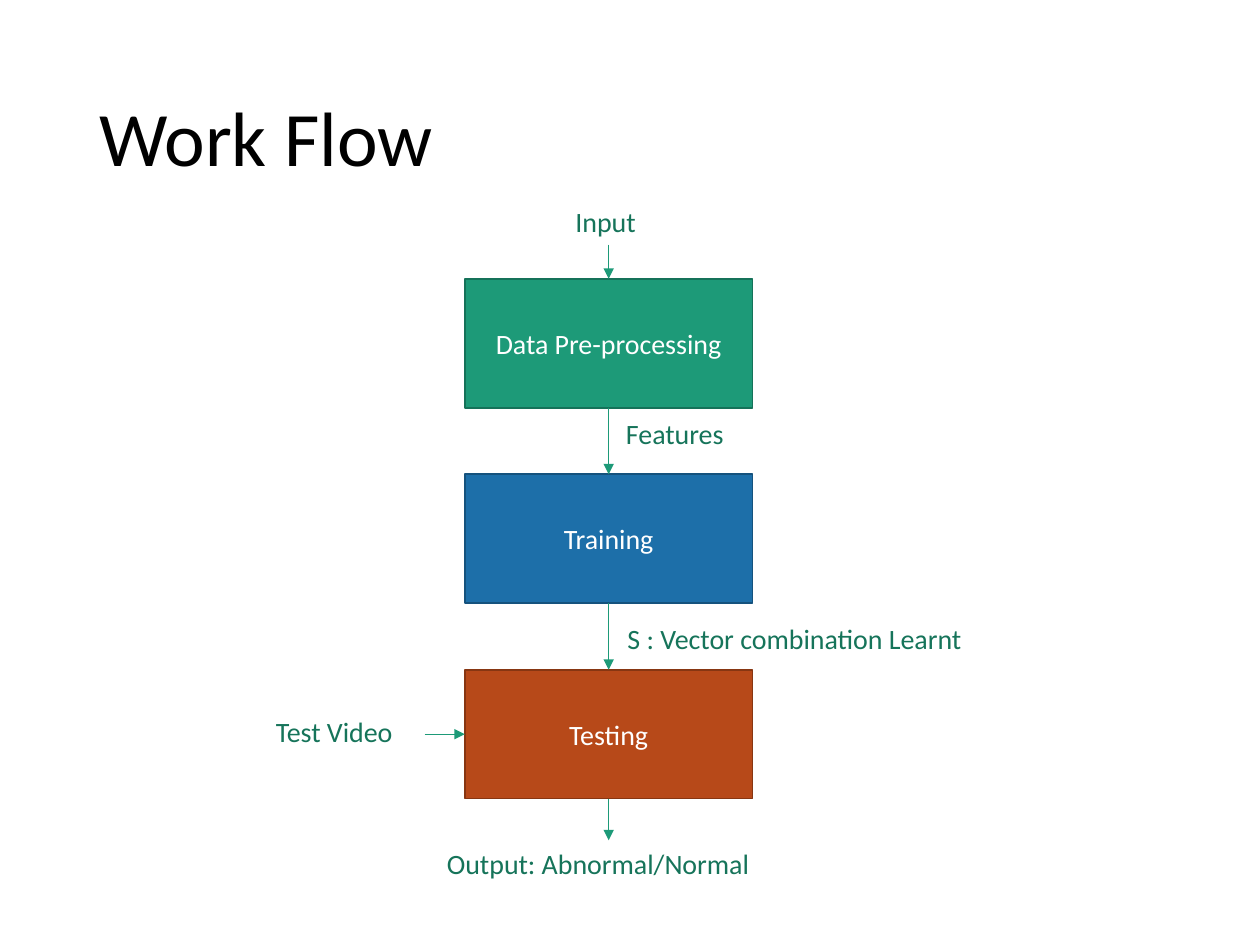
"""Build the Work Flow slide: three stages joined by labelled arrows."""
from lxml import etree
from pptx import Presentation
from pptx import util as u
from pptx.dml.color import RGBColor
from pptx.enum import shapes, text
from pptx.oxml.ns import qn

TITLE = ("Work Flow", 1.75, 1.02, 21.9, 3.68)
STAGES = [
    ("Data Pre-processing", "1D9A78", "157259"),
    ("Training", "1D6FA9", "15527D"),
    ("Testing", "B74919", "873612"),
]
LABELS = [
    ("Input", 11.35, 3.99, 2.01),
    ("Features", 12.37, 8.28, 3.12),
    ("S : Vector combination Learnt", 12.4, 12.4, 8.15),
    ("Test Video", 5.31, 14.27, 3.15),
    ("Output: Abnormal/Normal", 8.76, 16.94, 7.21),
]
LEFT, TOP, WIDTH, HEIGHT, PITCH = 9.37, 5.62, 5.8, 2.6, 3.94
LABEL_HEIGHT = 0.94
INPUT_LEN, OUTPUT_LEN, SIDE_LEN = 0.69, 0.84, 0.81
ARROW, LABEL = "1D9A78", "16745A"


def rgb(value):
    return RGBColor.from_string(value)


def write(s, words, size, color):
    tf = s.text_frame
    tf.word_wrap = True
    tf.text = words
    p = tf.paragraphs[0]
    font = p.runs[0].font
    font.name, font.size = "Calibri", u.Pt(size)
    font.color.rgb = rgb(color)
    return tf, p


def add_text(slide, words, x, y, w, h, size, color):
    s = slide.shapes.add_textbox(u.Cm(x), u.Cm(y), u.Cm(w), u.Cm(h))
    return write(s, words, size, color)


def add_stage(slide, words, fill, line, y):
    s = slide.shapes.add_shape(
        shapes.MSO_SHAPE.RECTANGLE, u.Cm(LEFT), u.Cm(y), u.Cm(WIDTH), u.Cm(HEIGHT))
    s.shadow.inherit = False
    s.fill.solid()
    s.fill.fore_color.rgb = rgb(fill)
    s.line.color.rgb = rgb(line)
    s.line.width = u.Pt(1)
    tf, p = write(s, words, 16, "FFFFFF")
    tf.vertical_anchor = text.MSO_ANCHOR.MIDDLE
    p.alignment = text.PP_ALIGN.CENTER


def add_arrow(slide, x1, y1, x2, y2):
    s = slide.shapes.add_connector(
        shapes.MSO_CONNECTOR.STRAIGHT, u.Cm(x1), u.Cm(y1), u.Cm(x2), u.Cm(y2))
    s.line.color.rgb = rgb(ARROW)
    s.line.width = u.Pt(0.5)
    etree.SubElement(s.line._get_or_add_ln(), qn("a:tailEnd"), type="triangle")
    etree.SubElement(s._element.spPr, qn("a:effectLst"))


def main():
    prs = Presentation()
    prs.slide_width, prs.slide_height = u.Cm(25.4), u.Cm(19.05)
    slide = prs.slides.add_slide(prs.slide_layouts[6])

    tf, p = add_text(slide, *TITLE, 44, "000000")
    tf.vertical_anchor = text.MSO_ANCHOR.MIDDLE
    p.line_spacing = 0.9

    tops = [TOP + i * PITCH for i in range(len(STAGES))]
    for stage, y in zip(STAGES, tops):
        add_stage(slide, *stage, y)

    center = LEFT + WIDTH / 2
    bottoms = [y + HEIGHT for y in tops]
    starts = [TOP - INPUT_LEN] + bottoms
    ends = tops + [bottoms[-1] + OUTPUT_LEN]
    for start, end in zip(starts, ends):
        add_arrow(slide, center, start, center, end)
    middle = tops[-1] + HEIGHT / 2
    add_arrow(slide, LEFT - SIDE_LEN, middle, LEFT, middle)

    for words, x, y, w in LABELS:
        add_text(slide, words, x, y, w, LABEL_HEIGHT, 16, LABEL)

    prs.save("out.pptx")


if __name__ == "__main__":
    main()
